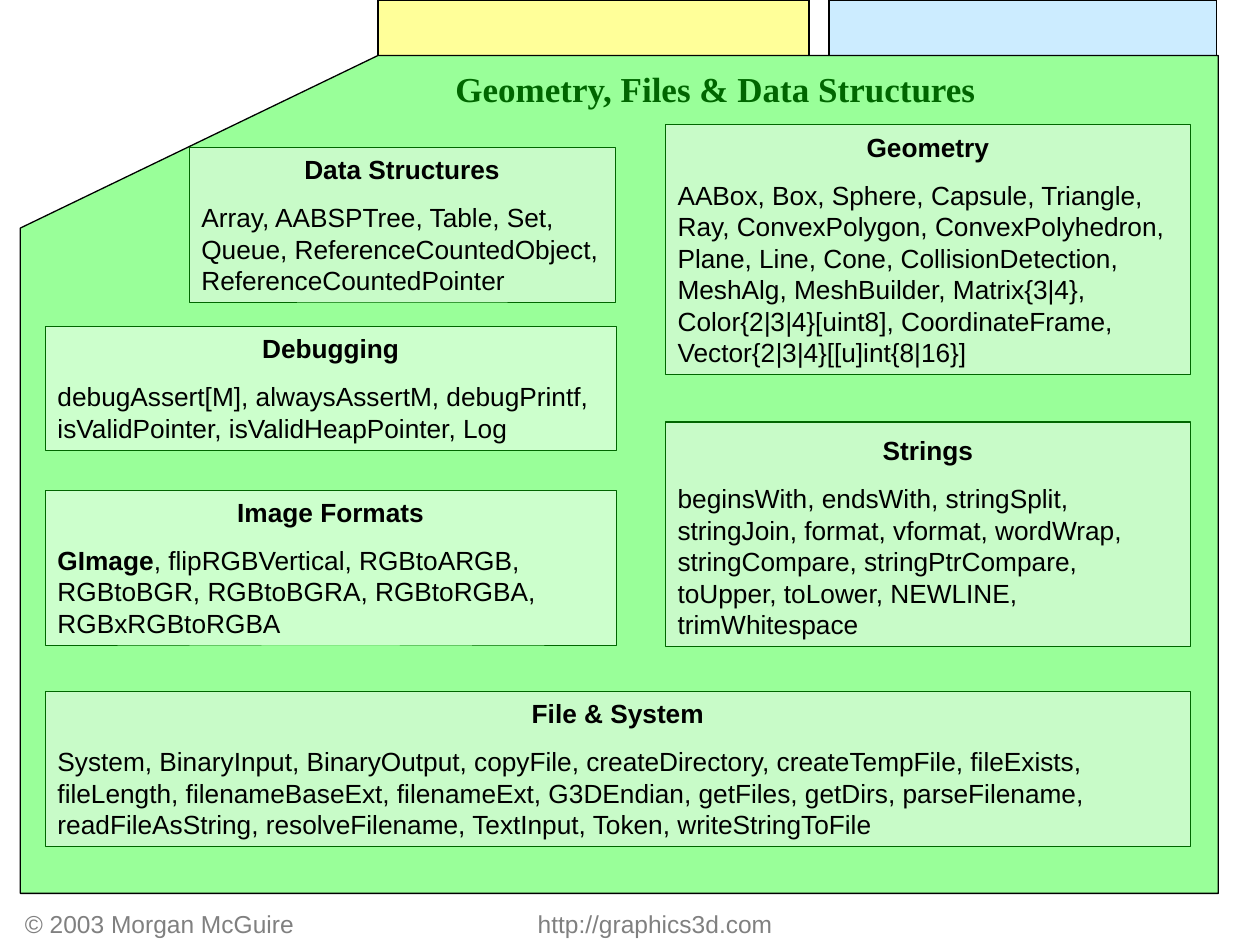
from lxml.etree import SubElement as Sub
from pptx import Presentation
from pptx.dml.color import RGBColor as Rgb
from pptx.enum.shapes import MSO_SHAPE as Kind
from pptx.enum.text import MSO_ANCHOR as Anchor, PP_ALIGN as Align
from pptx.oxml.ns import qn
from pptx.util import Cm, Pt

HUES = {
    "yellow": "FFFF99", "blue": "CCECFF", "green": "99FF99",
    "white": "FFFFFF", "pale": "F8F8F8", "dark": "006600",
    "black": "000000", "gray": "808080",
}


def paint(shape, fill, line, width):
    shape.shadow.inherit = False
    shape.fill.solid()
    shape.fill.fore_color.rgb = Rgb.from_string(HUES[fill])
    shape.line.color.rgb = Rgb.from_string(HUES[line])
    shape.line.width = Pt(width)


def style(font, name, size, hue, bold=False):
    font.name = name
    font.size = Pt(size)
    font.bold = bold
    font.color.rgb = Rgb.from_string(HUES[hue])


deck = Presentation()
deck.slide_width, deck.slide_height = Cm(25.4), Cm(19.05)
slide = deck.slides.add_slide(deck.slide_layouts[6])
shapes = slide.shapes

for left, width, hue in [(16.71, 7.82, "blue"), (7.62, 8.69, "yellow")]:
    tab = shapes.add_shape(Kind.RECTANGLE, Cm(left), 0, Cm(width), Cm(1.27))
    paint(tab, hue, "black", 0.75)

edge = [(24.56, 1.12), (24.56, 18.01), (0.41, 18.01), (0.41, 4.6)]
form = shapes.build_freeform(Cm(7.62), Cm(1.12))
form.add_line_segments([(Cm(x), Cm(y)) for x, y in edge], close=True)
paint(form.convert_to_shape(), "green", "black", 0.75)

title = shapes.add_textbox(Cm(8.1), Cm(1.24), Cm(12.65), Cm(1.12))
title.text_frame.word_wrap = True
title.text_frame.text = "Geometry, Files & Data Structures"
para = title.text_frame.paragraphs[0]
para.alignment = Align.CENTER
style(para.runs[0].font, "Times New Roman", 20, "dark", True)

BOXES = [
    ("Debugging", (0.91, 6.58, 11.51, 2.49), "white", 0.25, [
        ("debugAssert[M], alwaysAssertM, debugPrintf, "
         "isValidPointer, isValidHeapPointer, Log", "")]),
    ("Data Structures", (3.81, 2.97, 8.59, 3.12), "pale", 0.25, [
        ("Array, AABSPTree, Table, Set, Queue, "
         "ReferenceCountedObject, ReferenceCountedPointer", "")]),
    ("Image Formats", (0.91, 9.88, 11.51, 3.12), "white", 0.25, [
        ("GImage", "b"),
        (", flipRGBVertical, RGBtoARGB, RGBtoBGR, RGBtoBGRA, "
         "RGBtoRGBA, RGBxRGBtoRGBA", "")]),
    ("Geometry", (13.41, 2.51, 10.59, 5.03), "pale", 0.25, [
        ("AABox, Box, Sphere, Capsule, Triangle, Ray, ConvexPolygon, "
         "ConvexPolyhedron, Plane, Line, Cone, CollisionDetection, "
         "MeshAlg, MeshBuilder, Matrix{3|4}, Color{2", ""),
        ("|", "i"), ("3", ""), ("|", "i"),
        ("4}[uint8], CoordinateFrame, Vector{2", ""),
        ("|", "i"), ("3", ""), ("|", "i"), ("4}[[u]int{8|16}]", "")]),
    ("File & System", (0.91, 13.94, 23.09, 3.12), "pale", 0.25, [
        ("System, BinaryInput, BinaryOutput, copyFile, createDirectory, "
         "createTempFile, fileExists, fileLength, filenameBaseExt, "
         "filenameExt, G3DEndian, getFiles, getDirs, parseFilename, "
         "readFileAsString, resolveFilename, TextInput, Token, "
         "writeStringToFile", "")]),
    ("Strings", (13.41, 8.51, 10.59, 4.52), "pale", 0.75, [
        ("beginsWith, endsWith, stringSplit, stringJoin, format, vformat, "
         "wordWrap, stringCompare, stringPtrCompare, toUpper, toLower, "
         "NEWLINE, trimWhitespace", "")]),
]

for name, area, hue, width, parts in BOXES:
    box = shapes.add_shape(Kind.RECTANGLE, *[Cm(n) for n in area])
    paint(box, hue, "dark", width)
    tint = box.fill._xPr.find(qn("a:solidFill"))[0]
    Sub(tint, qn("a:alpha"), val="50000")
    frame = box.text_frame
    frame.word_wrap = True
    frame.vertical_anchor = Anchor.BOTTOM
    frame.text = name
    head = frame.paragraphs[0]
    head.alignment = Align.CENTER
    style(head.runs[0].font, "Arial", 15, "black", True)
    body = frame.add_paragraph()
    body.alignment = Align.LEFT
    body.space_before = Pt(9.4)
    for text, mark in parts:
        run = body.add_run()
        run.text = text
        style(run.font, "Arial", 15, "black", mark == "b")
        run.font.italic = mark == "i"

foot = shapes.add_textbox(Cm(0.25), Cm(18.21), Cm(15.65), Cm(0.86))
foot.text_frame.word_wrap = True
foot.text_frame.text = "© 2003 Morgan McGuire\thttp://graphics3d.com"
para = foot.text_frame.paragraphs[0]
stops = Sub(para._p.get_or_add_pPr(), qn("a:tabLst"))
Sub(stops, qn("a:tab"), pos=str(Cm(10.34)), algn="l")
for run in para.runs:
    style(run.font, "Arial", 14, "gray")

deck.save("out.pptx")
